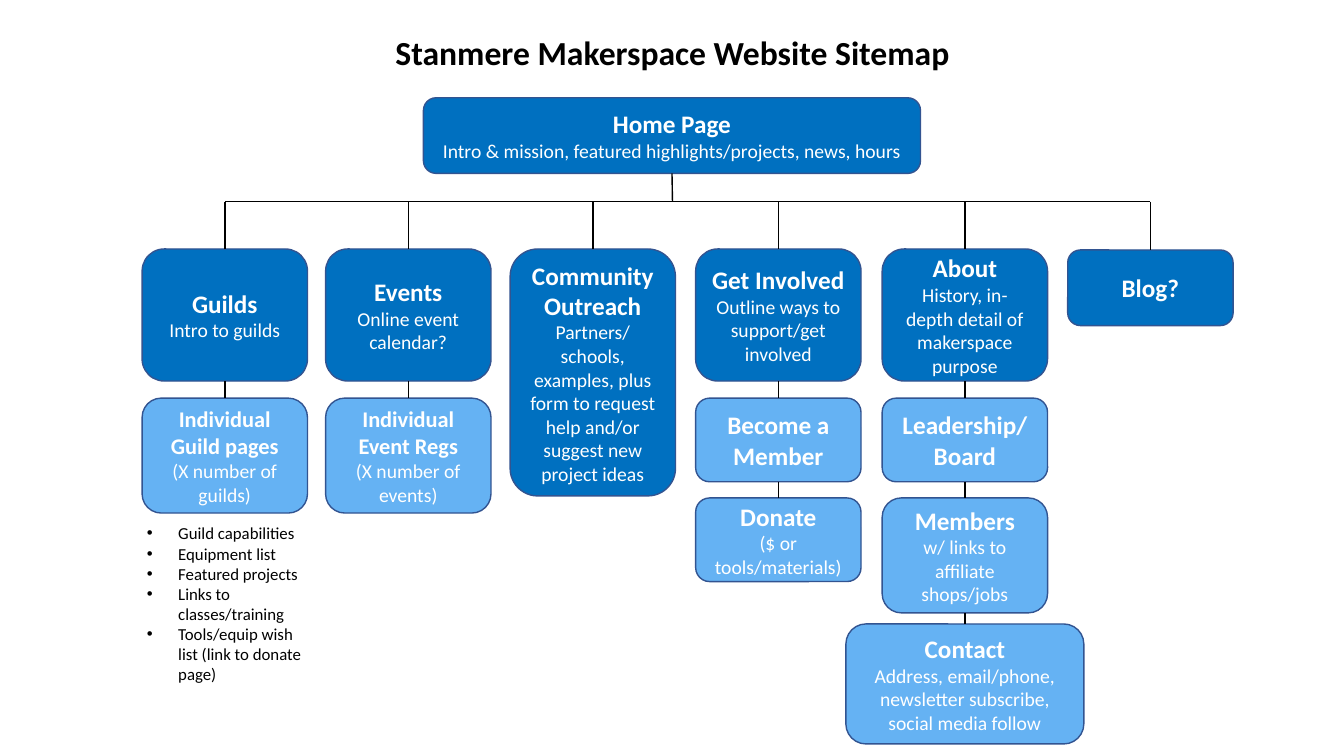
from lxml.etree import SubElement as Sub
from pptx import Presentation
from pptx.dml.color import RGBColor
from pptx.enum.shapes import MSO_CONNECTOR as Link, MSO_SHAPE as Shape
from pptx.enum.text import MSO_ANCHOR as Anchor, MSO_AUTO_SIZE as Fit, PP_ALIGN as Align
from pptx.oxml.ns import qn
from pptx.util import Inches, Pt

BLUE = RGBColor(0x00, 0x70, 0xC0)
SKY = RGBColor(0x65, 0xB2, 0xF3)
EDGE = RGBColor(0x32, 0x54, 0x91)
BLACK = RGBColor(0, 0, 0)
WHITE = RGBColor(255, 255, 255)

TOP, LOW, BUS = 2.47, 3.95, 2
WIDE = 1.64
COLS = [
    (1.41, [
        (TOP, 1.31, 18, "Guilds", ["Intro to guilds"]),
        (LOW, 1.14, 16, "Individual Guild pages", ["(X number of guilds)"])]),
    (3.23, [
        (TOP, 1.31, 18, "Events", ["Online event calendar?"]),
        (LOW, 1.14, 16, "Individual Event Regs", ["(X number of events)"])]),
    (5.06, [
        (TOP, 2.45, 18, "Community Outreach", [
            "Partners/",
            "schools, examples, plus form to request help and/or suggest new project ideas"])]),
    (6.9, [
        (TOP, 1.31, 18, "Get Involved", ["Outline ways to support/get involved"]),
        (LOW, 0.83, 18, "Become a Member", []),
        (4.94, 0.83, 18, "Donate", ["($ or tools/materials)"])]),
    (8.75, [
        (TOP, 1.31, 18, "About", ["History, in-depth detail of makerspace purpose"]),
        (LOW, 0.83, 18, "Leadership/\nBoard", []),
        (4.94, 1.14, 18, "Members", ["w/ links to affiliate shops/jobs"])]),
    (10.59, [(2.48, 0.75, 18, "Blog?", [])]),
]
ITEMS = ["Guild capabilities", "Equipment list", "Featured projects",
         "Links to classes/training", "Tools/equip wish list (link to donate page)"]


class Sitemap:
    """Draws the boxes, links and texts of a sitemap on one slide."""

    def __init__(self, slide, font="Calibri"):
        self.shapes = slide.shapes
        self.font = font

    def fill_text(self, frame, lines, color, align):
        frame.word_wrap = True
        for num, (text, size, bold) in enumerate(lines):
            para = frame.paragraphs[0] if num == 0 else frame.add_paragraph()
            para.alignment = align
            run = para.add_run()
            run.text = text
            run.font.name = self.font
            run.font.size = Pt(size)
            run.font.bold = bold
            run.font.color.rgb = color

    def box(self, area, fill, size, head, notes):
        shape = self.shapes.add_shape(Shape.ROUNDED_RECTANGLE, *map(Inches, area))
        shape.shadow.inherit = False
        shape.fill.solid()
        shape.fill.fore_color.rgb = fill
        shape.line.color.rgb = EDGE
        shape.line.width = Pt(1)
        shape.text_frame.vertical_anchor = Anchor.MIDDLE
        lines = [(part, size, True) for part in head.split("\n")]
        lines += [(note, 14, False) for note in notes]
        self.fill_text(shape.text_frame, lines, WHITE, Align.CENTER)
        return shape

    def link(self, start, stop, above=None, below=None):
        line = self.shapes.add_connector(Link.STRAIGHT, *map(Inches, start + stop))
        if above is not None:
            line.begin_connect(above, 2)
        if below is not None:
            line.end_connect(below, 0)
        line.line.color.rgb = BLACK
        line.line.width = Pt(1)
        Sub(line._element.spPr, qn("a:effectLst"))

    def text(self, area, lines, align=Align.LEFT):
        frame = self.shapes.add_textbox(*map(Inches, area)).text_frame
        self.fill_text(frame, lines, BLACK, align)
        frame.auto_size = Fit.SHAPE_TO_FIT_TEXT
        return frame

    def bullets(self, area, items):
        frame = self.text(area, [(item, 12, False) for item in items])
        for para in frame.paragraphs:
            props = para._p.get_or_add_pPr()
            props.set("marL", str(Inches(0.31)))
            props.set("indent", str(-Inches(0.31)))
            Sub(props, qn("a:buFont"), typeface="Arial")
            Sub(props, qn("a:buChar"), char="•")

    def column(self, left, pages):
        mid = left + WIDE / 2
        above, end = None, BUS
        for row, (top, high, size, head, notes) in enumerate(pages):
            fill = SKY if row else BLUE
            page = self.box((left, top, WIDE, high), fill, size, head, notes)
            self.link((mid, end), (mid, top), above, page)
            above, end = page, top + high
        return above


def main():
    deck = Presentation()
    deck.slide_width, deck.slide_height = Inches(13.33), Inches(7.5)
    site = Sitemap(deck.slides.add_slide(deck.slide_layouts[6]))

    site.text((1.36, 0.27, 10.62, 0.5),
              [("Stanmere Makerspace Website Sitemap", 24, True)], Align.CENTER)
    home = site.box((4.2, 0.97, 4.93, 0.75), BLUE, 18, "Home Page",
                    ["Intro & mission, featured highlights/projects, news, hours"])
    site.link((6.67, 1.72), (6.67, BUS), home)
    site.link((COLS[0][0] + WIDE / 2, BUS), (COLS[-1][0] + WIDE / 2, BUS))

    ends = [site.column(left, pages) for left, pages in COLS]
    contact = site.box((8.39, 6.19, 2.36, 1.19), SKY, 18, "Contact",
                       ["Address, email/phone, newsletter subscribe, social media follow"])
    site.link((9.57, 6.08), (9.57, 6.19), ends[4], contact)
    site.bullets((1.36, 5.14, 1.74, 1.72), ITEMS)
    deck.save("out.pptx")


if __name__ == "__main__":
    main()
